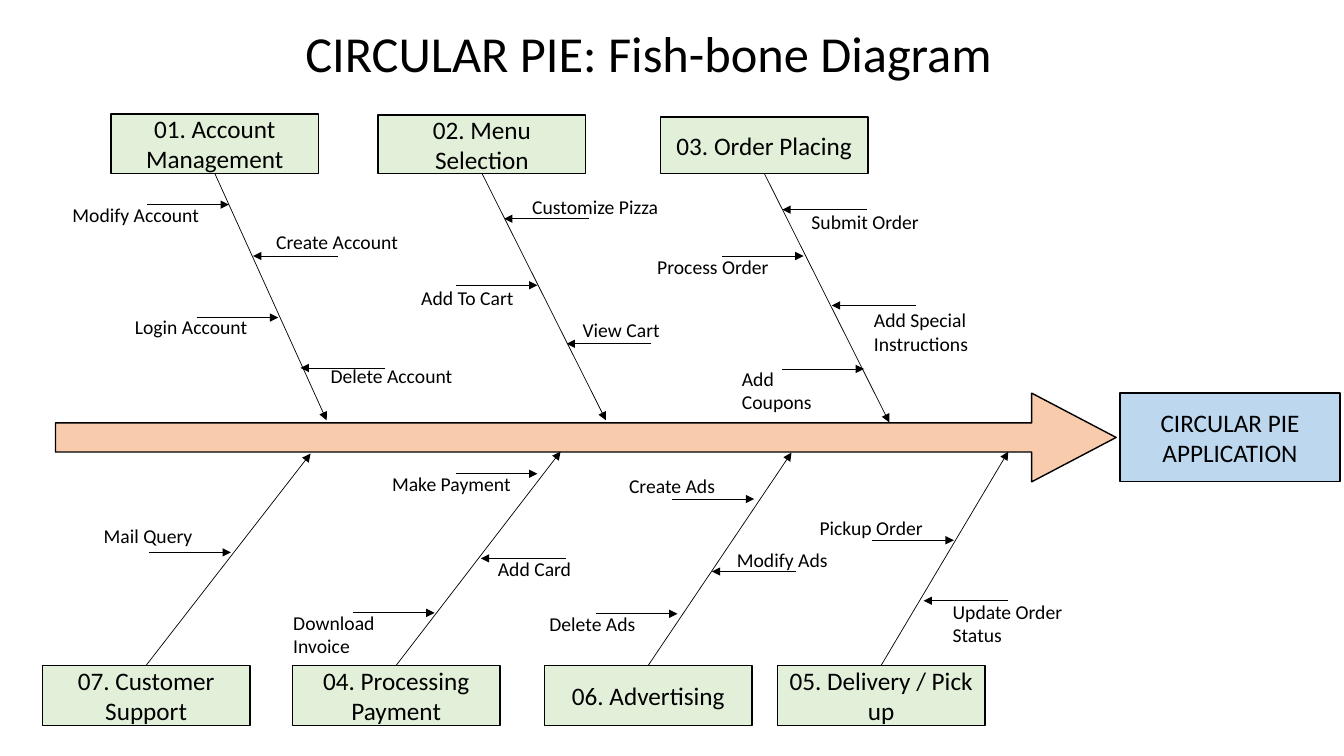
from lxml import etree
from pptx import Presentation
from pptx.dml.color import RGBColor
from pptx.enum.shapes import MSO_CONNECTOR, MSO_SHAPE
from pptx.enum.text import MSO_ANCHOR, MSO_AUTO_SIZE, PP_ALIGN
from pptx.oxml.ns import qn
from pptx.util import Inches, Pt

STRAIGHT = MSO_CONNECTOR.STRAIGHT
RECT, ARROW = MSO_SHAPE.RECTANGLE, MSO_SHAPE.RIGHT_ARROW
MIDDLE, TOP = MSO_ANCHOR.MIDDLE, MSO_ANCHOR.TOP
CENTER, LEFT = PP_ALIGN.CENTER, PP_ALIGN.LEFT
GROW = MSO_AUTO_SIZE.SHAPE_TO_FIT_TEXT

COLORS = {"ink": "000000", "spine": "F8CBAD", "cause": "E2F0D9", "effect": "BDD7EE"}
TITLE = ("CIRCULAR PIE: Fish-bone Diagram", (2.93, 0.17, 7.14, 0.71))
EFFECT = ("CIRCULAR PIE APPLICATION", (11.11, 3.9, 2.18, 0.88))
SPINE = (0.55, 3.9, 10.52, 0.88)
SPINE_ADJUSTMENTS = (0.328, 0.952)

# label, label left, label top, label width, label rows, arrow side, arrow tip
BONES = [
    {"cause": "01. Account Management", "box": (1.1, 1.13, 0.59), "tip": (3.24, 4.17), "twigs": [
        ("Modify Account", 0.62, 1.96, 1.64, 1, "left", (2.27, 2.03)),
        ("Create Account", 2.64, 2.23, 1.64, 1, "right", (2.51, 2.54)),
        ("Login Account", 1.24, 3.08, 1.83, 1, "left", (2.76, 3.15)),
        ("Delete Account", 3.18, 3.56, 1.83, 1, "right", (2.98, 3.65))]},
    {"cause": "02. Menu Selection", "box": (3.75, 1.14, 0.58), "tip": (6.01, 4.17), "twigs": [
        ("Customize Pizza", 5.18, 1.88, 1.78, 1, "right", (5.0, 2.17)),
        ("Add To Cart", 4.08, 2.79, 1.5, 1, "left", (5.33, 2.83)),
        ("View Cart", 5.68, 3.11, 1.5, 1, "right", (5.62, 3.41))]},
    {"cause": "03. Order Placing", "box": (6.55, 1.16, 0.56), "tip": (8.82, 4.19), "twigs": [
        ("Submit Order", 7.95, 2.03, 1.72, 1, "right", (7.76, 2.08)),
        ("Process Order", 6.42, 2.48, 1.64, 1, "left", (7.97, 2.54)),
        ("Add Special Instructions", 8.57, 3.01, 1.64, 2, "right", (8.25, 3.03)),
        ("Add Coupons", 7.26, 3.59, 1.25, 2, "left", (8.57, 3.66))]},
    {"cause": "07. Customer\nSupport", "box": (0.42, 6.6, 0.6), "tip": (3.08, 4.5), "twigs": [
        ("Mail Query", 0.93, 5.15, 1.58, 1, "left", (2.29, 5.48))]},
    {"cause": "04. Processing Payment", "box": (2.9, 6.6, 0.6), "tip": (5.56, 4.48), "twigs": [
        ("Make Payment", 3.79, 4.63, 1.58, 1, "left", (5.33, 4.7)),
        ("Add Card", 4.84, 5.48, 1.46, 1, "right", (4.77, 5.54)),
        ("Download Invoice", 2.81, 6.01, 1.22, 2, "left", (4.31, 6.08))]},
    {"cause": "06. Advertising", "box": (5.4, 6.6, 0.6), "tip": (7.85, 4.49), "twigs": [
        ("Create Ads", 6.14, 4.65, 1.65, 1, "left", (7.48, 4.95)),
        ("Modify Ads", 7.21, 5.39, 1.65, 1, "right", (7.06, 5.67)),
        ("Delete Ads", 5.35, 6.02, 1.65, 1, "left", (6.72, 6.09))]},
    {"cause": "05. Delivery / Pick up", "box": (7.71, 6.6, 0.6), "tip": (10.0, 4.48), "twigs": [
        ("Pickup Order", 8.03, 5.07, 1.38, 1, "left", (9.46, 5.36)),
        ("Update Order Status", 9.35, 5.9, 1.38, 2, "right", (9.16, 5.96))]},
]
BOX_WIDTH = 2.06
TWIG_OFFSET = {"left": -0.81, "right": 0.84}
LABEL_HEIGHT = {1: 0.34, 2: 0.57}


def rgb(name):
    return RGBColor.from_string(COLORS[name])


def write(sp, text, size, align, anchor):
    tf = sp.text_frame
    tf.word_wrap = True
    tf.vertical_anchor = anchor
    tf.text = text
    for p in tf.paragraphs:
        p.alignment = align
        font = p.runs[0].font
        for key, value in {"name": "Calibri", "size": Pt(size)}.items():
            setattr(font, key, value)
        font.color.rgb = rgb("ink")


def add_block(s, kind, at, fill, text=""):
    sp = s.shapes.add_shape(kind, *map(Inches, at))
    sp.shadow.inherit = False
    sp.fill.solid()
    sp.fill.fore_color.rgb = rgb(fill)
    sp.line.color.rgb = rgb("ink")
    sp.line.width = Pt(1)
    if text:
        write(sp, text, 18, CENTER, MIDDLE)
    return sp


def add_label(s, text, at, size):
    sp = s.shapes.add_textbox(*map(Inches, at))
    write(sp, text, size, LEFT, TOP)
    sp.text_frame.auto_size = GROW


def add_arrow(s, start, end):
    line = s.shapes.add_connector(STRAIGHT, *map(Inches, (*start, *end)))
    line.line.color.rgb = rgb("ink")
    line.line.width = Pt(0.5)
    etree.SubElement(line.line._get_or_add_ln(), qn("a:tailEnd"), type="triangle")
    etree.SubElement(line._element.spPr, qn("a:effectLst"))


def add_bone(s, bone):
    left, top, height = bone["box"]
    add_block(s, RECT, (left, top, BOX_WIDTH, height), "cause", bone["cause"])
    edge = top + height if top < SPINE[1] else top
    add_arrow(s, (left + BOX_WIDTH / 2, edge), bone["tip"])
    for text, x, y, width, rows, side, tip in bone["twigs"]:
        add_label(s, text, (x, y, width, LABEL_HEIGHT[rows]), 14)
        add_arrow(s, (tip[0] + TWIG_OFFSET[side], tip[1]), tip)


def main():
    prs = Presentation()
    prs.slide_width, prs.slide_height = Inches(13.33), Inches(7.5)
    s = prs.slides.add_slide(prs.slide_layouts[6])
    spine = add_block(s, ARROW, SPINE, "spine")
    for i, value in enumerate(SPINE_ADJUSTMENTS):
        spine.adjustments[i] = value
    add_block(s, RECT, EFFECT[1], "effect", EFFECT[0])
    add_label(s, *TITLE, 36)
    for bone in BONES:
        add_bone(s, bone)
    prs.save("out.pptx")


if __name__ == "__main__":
    main()
